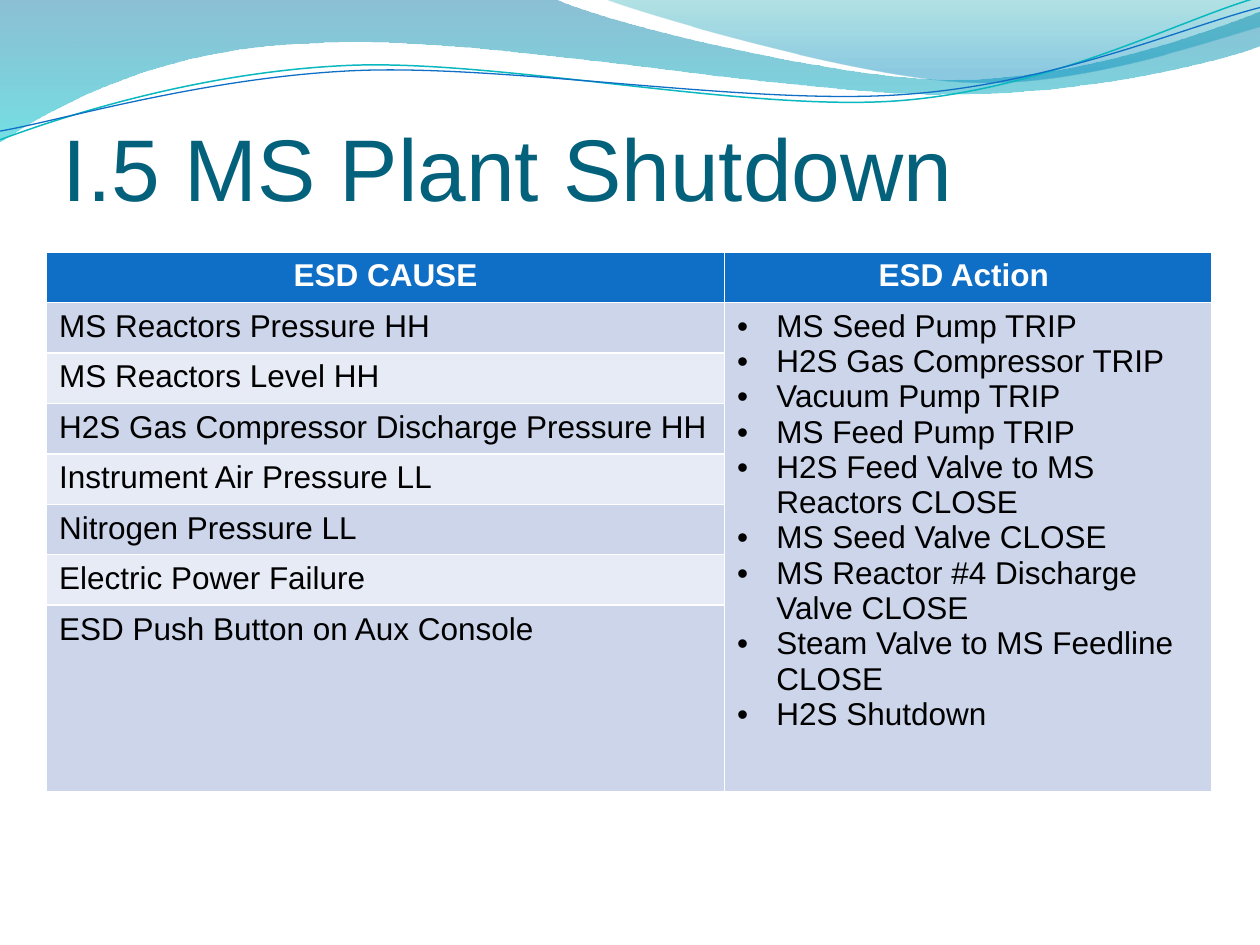
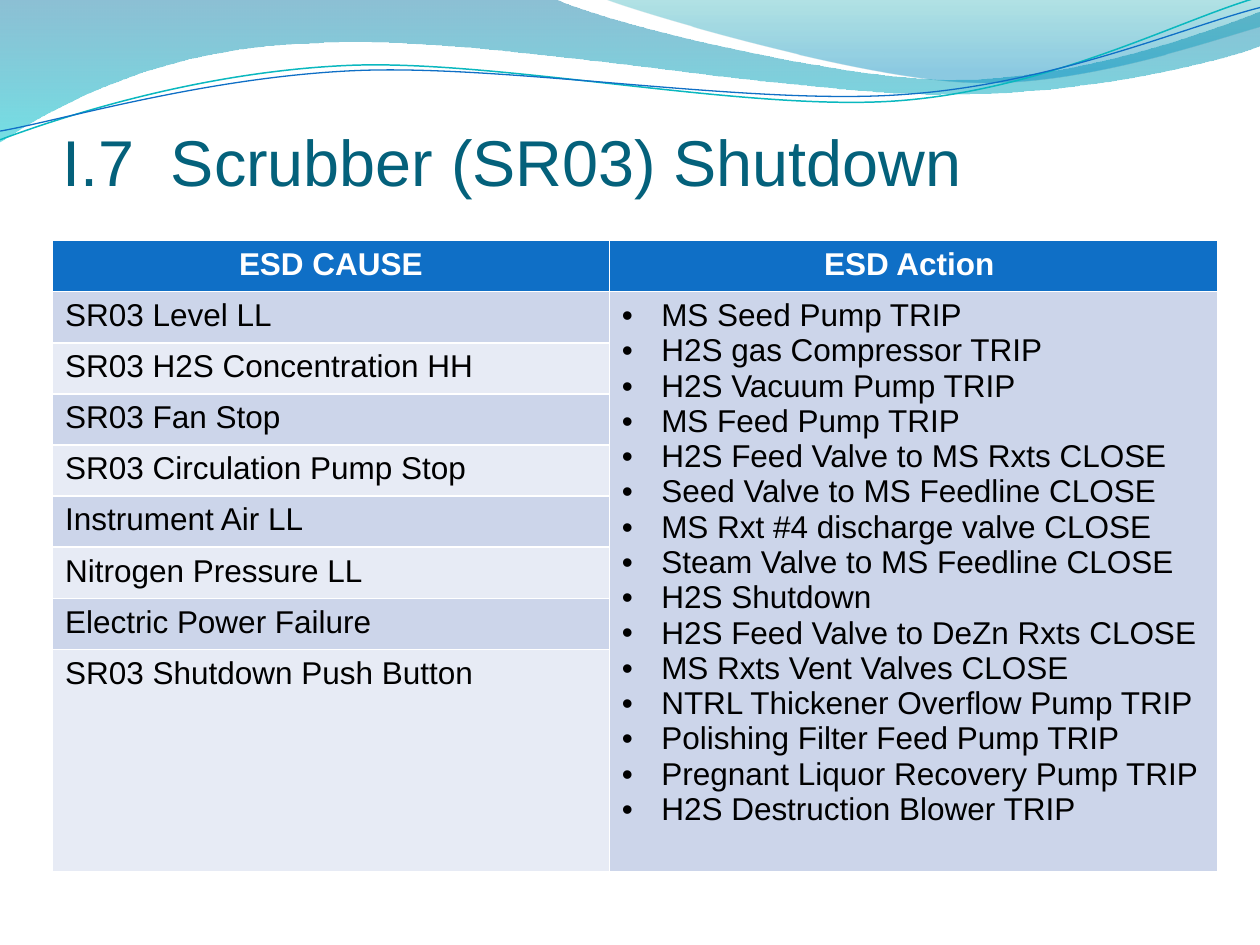
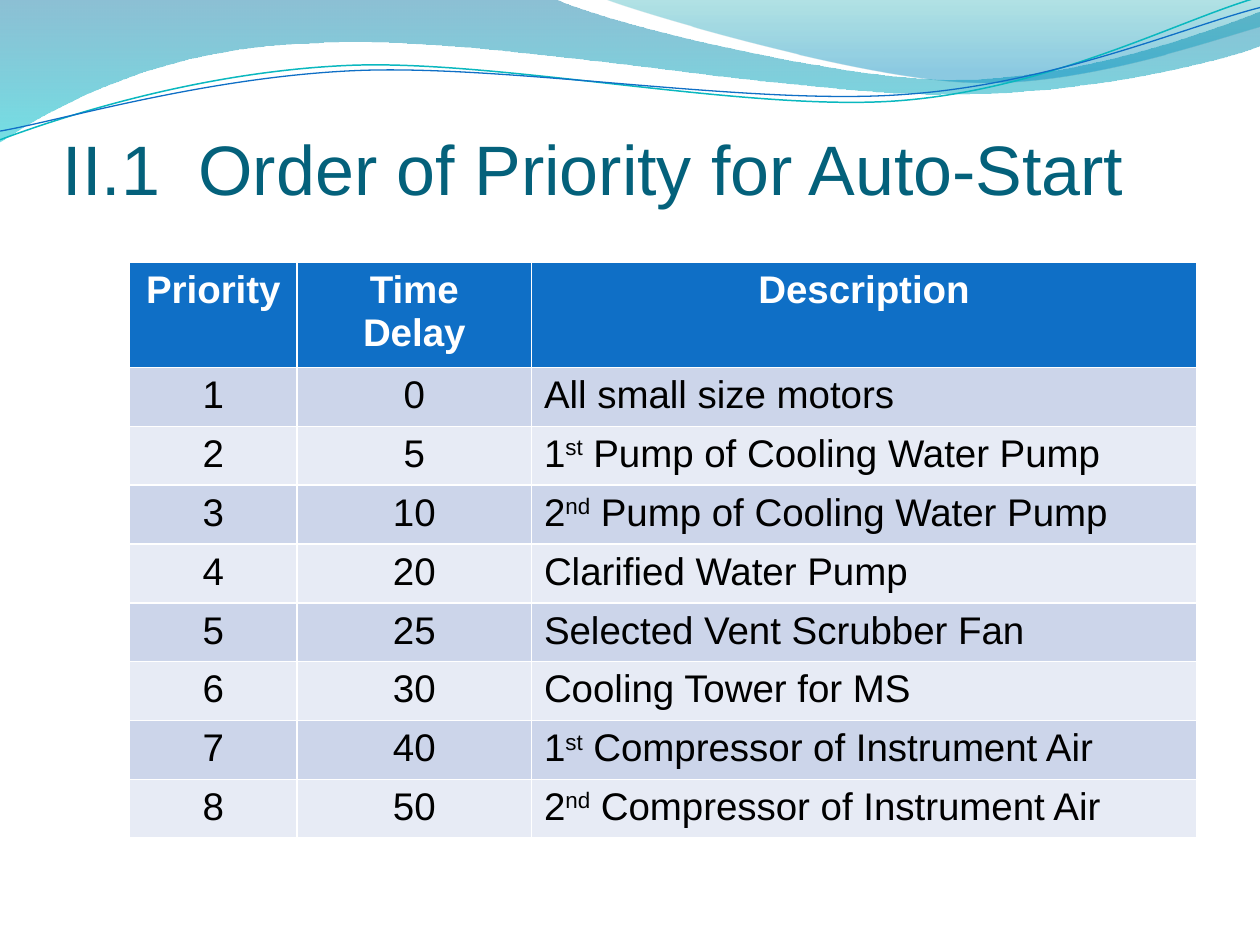
"""Build three slides on plant shutdown and auto-start priority."""
from lxml import etree
from pptx import Presentation, util as u
from pptx.dml.color import RGBColor
from pptx.enum import text
from pptx.oxml.ns import qn

FONT = "Arial"
TITLE, HEADER, BODY, WHITE = "04617B", "0F6FC6", "000000", "FFFFFF"
BANDS = ("CCD5EA", "E7EBF5")
INDENT = 22.5

BACK_WAVE = [
    (0, 0), (316.8, -0.7),
    [(342.7, 12.2), (478, 45.4), (545.8, 45.4)],
    [(614.2, 45.4), (689.8, 18.7), (720, 6.5)],
    (720.7, 25.9),
    [(707.8, 31.7), (626.4, 54.7), (537.1, 54)],
    [(447.8, 54), (275, 20.2), (185, 24.5)],
    [(92.9, 25.9), (33.1, 59.8), (-0.7, 81.4)],
]
FRONT_WAVE = [
    (344.9, -0.7),
    [(366.5, 7.9), (491, 44.6), (553.7, 46.8)],
    [(616.3, 49.7), (691.9, 23), (720, 15.1)],
    (720, 0),
]
TEAL_LINE = [
    (0, 79.9),
    [(34.6, 67), (113.8, 41), (199.4, 37.4)],
    [(284.4, 33.8), (427, 64.1), (513.4, 57.6)],
    [(599.8, 51.1), (675.4, 10.8), (718.6, -1.4)],
]
BLUE_LINE = [
    (0, 74.9),
    [(33.8, 69.1), (118.1, 43.9), (203.8, 40.3)],
    [(290.2, 36.7), (429.8, 60.5), (516.2, 54)],
    [(601.9, 48.2), (677.5, 15.1), (720, 4.3)],
]
WAVES = [
    (BACK_WAVE, [(0, "0074A1", 45), (1, "00C6CF", 55)]),
    (FRONT_WAVE, [(0, "00A1A9", 30), (0.8, "008BBF", 45)]),
]
LINES = [(TEAL_LINE, "0AB8BF", 0.85), (BLUE_LINE, HEADER, 0.75)]

ESD_HEADER = ["ESD CAUSE", "ESD Action "]
PLANT_CAUSES = [
    "MS Reactors Pressure HH", "MS Reactors Level HH",
    "H2S Gas Compressor Discharge Pressure HH", "Instrument Air Pressure LL",
    "Nitrogen Pressure LL", "Electric Power Failure",
    "ESD Push Button on Aux Console",
]
PLANT_ACTIONS = [
    "MS Seed Pump TRIP", "H2S Gas Compressor TRIP", "Vacuum Pump TRIP",
    "MS Feed Pump TRIP", "H2S Feed Valve to MS Reactors CLOSE",
    "MS Seed Valve CLOSE", "MS Reactor #4 Discharge Valve CLOSE",
    "Steam Valve to MS Feedline CLOSE", "H2S Shutdown",
]
SCRUBBER_CAUSES = [
    "SR03 Level LL", "SR03 H2S Concentration HH", "SR03 Fan Stop",
    "SR03 Circulation Pump Stop", "Instrument Air LL", "Nitrogen Pressure LL",
    "Electric Power Failure", "SR03 Shutdown Push Button",
]
SCRUBBER_ACTIONS = [
    "MS Seed Pump TRIP", "H2S gas Compressor TRIP", "H2S Vacuum Pump TRIP",
    "MS Feed Pump TRIP", "H2S Feed Valve to MS Rxts CLOSE",
    "Seed Valve to MS Feedline CLOSE", "MS Rxt #4 discharge valve CLOSE",
    "Steam Valve to MS Feedline CLOSE", "H2S Shutdown",
    "H2S Feed Valve to DeZn Rxts CLOSE", "MS Rxts Vent Valves CLOSE",
    "NTRL Thickener Overflow Pump TRIP", "Polishing Filter Feed Pump TRIP",
    "Pregnant Liquor Recovery Pump TRIP", "H2S Destruction Blower TRIP",
]
PRIORITY_HEADER = ["Priority", "Time\nDelay", "Description"]
PRIORITIES = [
    ["1", "0", "All small size motors"],
    ["2", "5", "1^st^ Pump of Cooling Water Pump"],
    ["3", "10", "2^nd^ Pump of Cooling Water Pump"],
    ["4", "20", "Clarified Water Pump"],
    ["5", "25", "Selected Vent Scrubber Fan"],
    ["6", "30", "Cooling Tower for MS"],
    ["7", "40", "1^st^ Compressor of Instrument Air"],
    ["8", "50", "2^nd^ Compressor of Instrument Air"],
]


def esd_rows(causes, actions):
    rows = [ESD_HEADER] + [[cause] for cause in causes]
    rows[1].append("\n".join(actions))
    return rows


SLIDES = [
    dict(title="I.5 MS Plant Shutdown", title_at=(36, 35.3, 648, 90), title_size=50,
         tab=None, rows=esd_rows(PLANT_CAUSES, PLANT_ACTIONS), corner=(26.6, 144),
         widths=(387.4, 278.6), heights=[27.6] * 7 + [106.6], size=18,
         centred=(), bulleted=1),
    dict(title="I.7\tScrubber (SR03) Shutdown", title_at=(36, 23.8, 588.2, 90),
         title_size=37, tab=61.7, rows=esd_rows(SCRUBBER_CAUSES, SCRUBBER_ACTIONS),
         corner=(30, 137.5), widths=(318.2, 347.8), heights=[29.2] * 8 + [105],
         size=18, centred=(), bulleted=1),
    dict(title="II.1\tOrder of Priority for Auto-Start", title_at=(36, 64.5, 648, 55.4),
         title_size=40, tab=77.5, rows=[PRIORITY_HEADER] + PRIORITIES,
         corner=(74, 150), widths=(95.8, 133.9, 380.2), heights=[29.2] * 9, size=22,
         centred=(0, 1), bulleted=None),
]


def rgb(value):
    return RGBColor.from_string(value)


def set_font(paragraph, size, color, bold=False):
    font = paragraph.font
    font.name, font.size, font.bold = FONT, u.Pt(size), bold
    font.color.rgb = rgb(color)


def add_outline(page, segments, close):
    groups = [part if isinstance(part, list) else [part] for part in segments]
    points = [(u.Pt(x), u.Pt(y)) for group in groups for x, y in group]
    builder = page.shapes.build_freeform(*points[0])
    builder.add_line_segments(points[1:], close=close)
    shape = builder.convert_to_shape()
    shape.shadow.inherit = False
    steps = iter(list(shape.element.iter(qn("a:lnTo"))))
    for group in groups[1:]:
        lines = [next(steps) for _ in group]
        if len(lines) == 3:
            curve = etree.Element(qn("a:cubicBezTo"))
            lines[0].addprevious(curve)
            for line in lines:
                curve.append(line[0])
                line.getparent().remove(line)
    return shape


def add_waves(page):
    for segments, stops in WAVES:
        wave = add_outline(page, segments, True)
        wave.line.fill.background()
        wave.fill.gradient()
        wave.fill.gradient_angle = 270
        for stop, (position, color, _) in zip(wave.fill.gradient_stops, stops):
            stop.position = position
            stop.color.rgb = rgb(color)
        colors = wave.element.spPr.iter(qn("a:srgbClr"))
        for color, (_, _, opacity) in zip(colors, stops):
            etree.SubElement(color, qn("a:alpha"), val=str(opacity * 1000))
    for segments, color, width in LINES:
        line = add_outline(page, segments, False)
        line.fill.background()
        line.line.color.rgb = rgb(color)
        line.line.width = u.Pt(width)


def add_title(page, content):
    box = page.shapes.add_textbox(*map(u.Pt, content["title_at"]))
    frame = box.text_frame
    frame.word_wrap = True
    frame.vertical_anchor = text.MSO_ANCHOR.BOTTOM
    frame.margin_left = frame.margin_right = frame.margin_bottom = 0
    para = frame.paragraphs[0]
    para.text = content["title"]
    if content["tab"]:
        tabs = etree.SubElement(para._p.get_or_add_pPr(), qn("a:tabLst"))
        etree.SubElement(tabs, qn("a:tab"), pos=str(u.Pt(content["tab"])), algn="l")
    set_font(para, content["title_size"], TITLE)


def add_bullet(para):
    props = para._p.get_or_add_pPr()
    props.set("marL", str(u.Pt(INDENT)))
    props.set("indent", str(-u.Pt(INDENT)))
    etree.SubElement(props, qn("a:buFont"), typeface=FONT)
    etree.SubElement(props, qn("a:buChar"), char="•")


def fill_cell(cell, words, size, is_header, centred, bulleted):
    frame = cell.text_frame
    for i, line in enumerate(words.split("\n")):
        para = frame.add_paragraph() if i else frame.paragraphs[0]
        for j, part in enumerate(line.split("^")):
            if part:
                span = para.add_run()
                span.text = part
                if j % 2:
                    span._r.get_or_add_rPr().set("baseline", "30000")
        if bulleted:
            add_bullet(para)
        if centred:
            para.alignment = text.PP_ALIGN.CENTER
        set_font(para, size, WHITE if is_header else BODY, is_header)


def add_grid(page, content):
    rows, widths, heights = content["rows"], content["widths"], content["heights"]
    grid = page.shapes.add_table(
        len(rows), len(widths), *map(u.Pt, content["corner"]),
        u.Pt(sum(widths)), u.Pt(sum(heights))).table
    for column, width in zip(grid.columns, widths):
        column.width = u.Pt(width)
    bulleted = content["bulleted"]
    if bulleted is not None:
        grid.cell(1, bulleted).merge(grid.cell(len(rows) - 1, bulleted))
    for r, (row, height) in enumerate(zip(rows, heights)):
        grid.rows[r].height = u.Pt(height)
        is_header = r == 0
        for c, words in enumerate(row):
            cell = grid.cell(r, c)
            cell.fill.solid()
            cell.fill.fore_color.rgb = rgb(HEADER if is_header else BANDS[(r - 1) % 2])
            fill_cell(cell, words, content["size"], is_header,
                      is_header or c in content["centred"],
                      c == bulleted and not is_header)


def main():
    deck = Presentation()
    deck.slide_width, deck.slide_height = u.Pt(720), u.Pt(540)
    for content in SLIDES:
        page = deck.slides.add_slide(deck.slide_layouts[6])
        add_waves(page)
        add_title(page, content)
        add_grid(page, content)
    deck.save("out.pptx")


if __name__ == "__main__":
    main()
